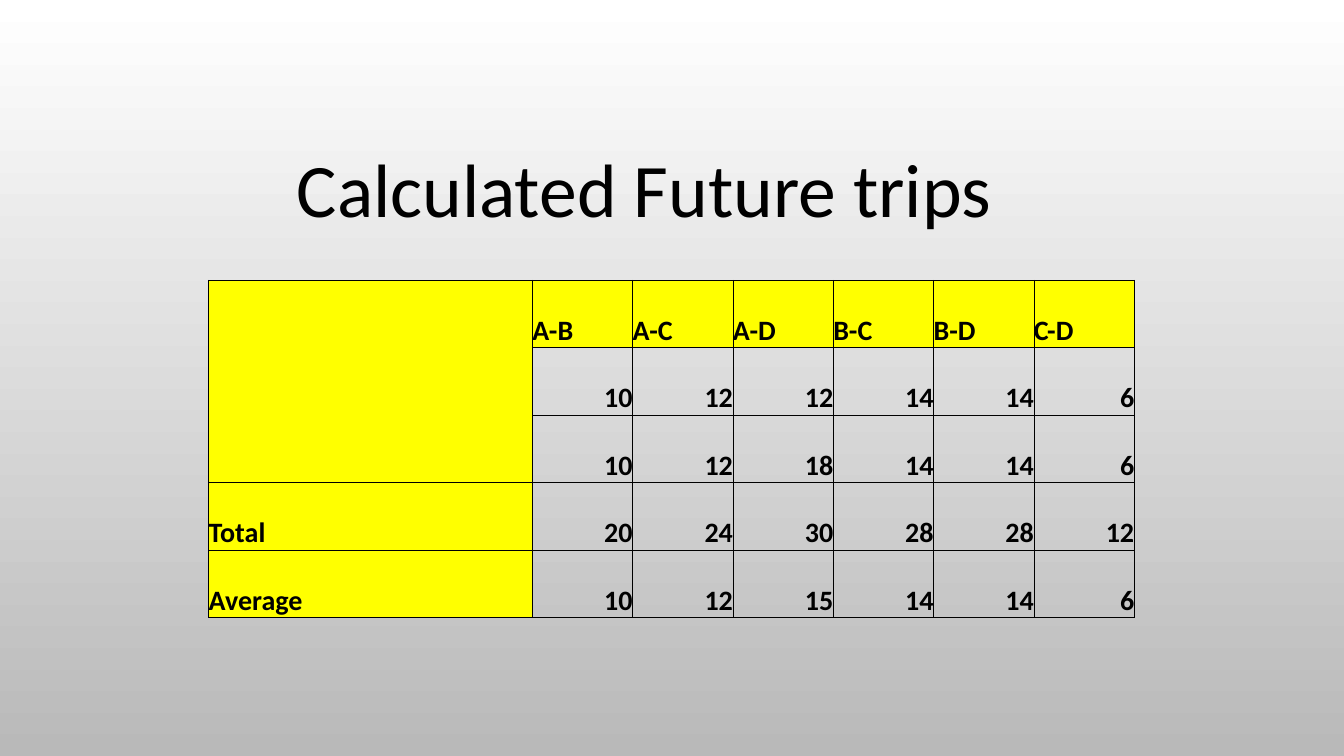
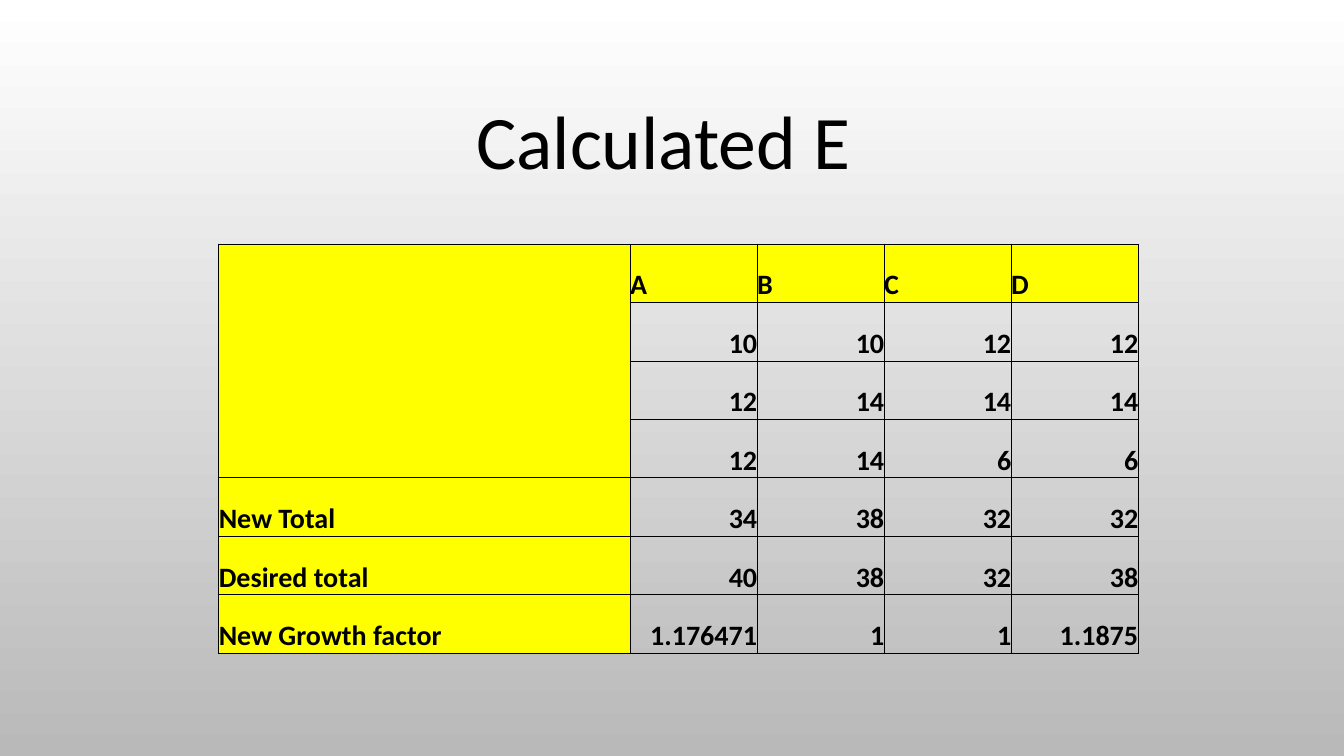
from dataclasses import dataclass

from lxml.etree import SubElement
from pptx import Presentation
from pptx.dml.color import RGBColor
from pptx.enum.text import MSO_ANCHOR as Anchor, MSO_AUTO_SIZE as AutoSize, PP_ALIGN as Align
from pptx.oxml.ns import qn
from pptx.presentation import Presentation as Deck
from pptx.slide import SlideMaster
from pptx.table import _Cell as Cell
from pptx.text.text import _Paragraph as Paragraph
from pptx.util import Inches, Pt

COLOURS = {
    "ink": "000000",
    "label": "FFFF00",
    "backdrop_top": "FFFFFF",
    "backdrop_bottom": "B9B9B9",
}
TITLE_FONT = {"name": "Calibri", "size": Pt(54), "bold": False}
CELL_FONT = {"name": "Calibri", "size": Pt(20), "bold": True}
TITLE_FRAME = {
    "word_wrap": False,
    "auto_size": AutoSize.SHAPE_TO_FIT_TEXT,
    "vertical_anchor": Anchor.TOP,
}
CELL_FRAME = {
    "margin_left": 0,
    "margin_right": 0,
    "margin_top": 0,
    "margin_bottom": 0,
    "vertical_anchor": Anchor.BOTTOM,
}
PLAIN_TABLE = {"first_row": False, "horz_banding": False}
TITLE_HEIGHT = 1.01
BORDER_WIDTH = Pt(0.5)


@dataclass(frozen=True)
class TripSlide:
    title: str
    title_left: float
    title_top: float
    title_width: float
    table_left: float
    table_top: float
    label_width: float
    value_width: float
    row_height: float
    rows: tuple[tuple[str, ...], ...]


TRIP_SLIDES = (
    TripSlide(
        "Calculated Future trips", 2.48, 1.36, 7.82,
        2.07, 2.78, 3.21, 0.995, 0.67,
        (
            ("", "A-B", "A-C", "A-D", "B-C", "B-D", "C-D"),
            ("", "10", "12", "12", "14", "14", "6"),
            ("", "10", "12", "18", "14", "14", "6"),
            ("Total", "20", "24", "30", "28", "28", "12"),
            ("Average", "10", "12", "15", "14", "14", "6"),
        ),
    ),
    TripSlide(
        "Calculated E", 4.23, 0.88, 4.7,
        2.17, 2.42, 4.08, 1.26, 0.58,
        (
            ("", "A", "B", "C", "D"),
            ("", "10", "10", "12", "12"),
            ("", "12", "14", "14", "14"),
            ("", "12", "14", "6", "6"),
            ("New Total", "34", "38", "32", "32"),
            ("Desired total", "40", "38", "32", "38"),
            ("New Growth factor", "1.176471", "1", "1", "1.1875"),
        ),
    ),
)


def colour(key: str) -> RGBColor:
    return RGBColor.from_string(COLOURS[key])


def apply(target: object, values: dict) -> None:
    for name, value in values.items():
        setattr(target, name, value)


def write(paragraph: Paragraph, text: str, font: dict, align: Align) -> None:
    paragraph.alignment = align
    run = paragraph.add_run()
    run.text = text
    apply(run.font, font)
    run.font.color.rgb = colour("ink")


def paint_backdrop(master: SlideMaster) -> None:
    fill = master.background.fill
    fill.gradient()
    fill.gradient_angle = 270
    for stop, key in zip(fill.gradient_stops, ("backdrop_top", "backdrop_bottom")):
        stop.color.rgb = colour(key)


def draw_borders(cell: Cell, hidden: set[str]) -> None:
    properties = cell._tc.get_or_add_tcPr()
    for side in "LRTB":
        line = SubElement(properties, qn(f"a:ln{side}"), w=str(BORDER_WIDTH))
        if side in hidden:
            SubElement(line, qn("a:noFill"))
        else:
            solid = SubElement(line, qn("a:solidFill"))
            SubElement(solid, qn("a:srgbClr"), val=COLOURS["ink"])


def draw_table(slide, content: TripSlide) -> None:
    rows = content.rows
    widths = [content.label_width] + [content.value_width] * (len(rows[0]) - 1)
    table = slide.shapes.add_table(
        len(rows), len(widths),
        Inches(content.table_left), Inches(content.table_top),
        Inches(sum(widths)), Inches(content.row_height * len(rows)),
    ).table
    apply(table, PLAIN_TABLE)
    for column, width in zip(table.columns, widths):
        column.width = Inches(width)
    last_blank = sum(not row[0] for row in rows) - 1
    for row_index, row in enumerate(rows):
        table.rows[row_index].height = Inches(content.row_height)
        for column_index, text in enumerate(row):
            cell = table.cell(row_index, column_index)
            is_label = row_index == 0 or column_index == 0
            hidden = set()
            if not text:
                hidden |= {"T"} if row_index > 0 else set()
                hidden |= {"B"} if row_index < last_blank else set()
            draw_borders(cell, hidden)
            apply(cell, CELL_FRAME)
            if is_label:
                cell.fill.solid()
                cell.fill.fore_color.rgb = colour("label")
            else:
                cell.fill.background()
            if text:
                align = Align.LEFT if is_label else Align.RIGHT
                write(cell.text_frame.paragraphs[0], text, CELL_FONT, align)


def add_trip_slide(deck: Deck, content: TripSlide) -> None:
    slide = deck.slides.add_slide(deck.slide_layouts[5])
    draw_table(slide, content)
    title = slide.shapes.title
    apply(title, {
        "left": Inches(content.title_left),
        "top": Inches(content.title_top),
        "width": Inches(content.title_width),
        "height": Inches(TITLE_HEIGHT),
    })
    apply(title.text_frame, TITLE_FRAME)
    write(title.text_frame.paragraphs[0], content.title, TITLE_FONT, Align.CENTER)


def main() -> None:
    deck = Presentation()
    apply(deck, {"slide_width": Inches(13.33), "slide_height": Inches(7.5)})
    paint_backdrop(deck.slide_master)
    for content in TRIP_SLIDES:
        add_trip_slide(deck, content)
    deck.save("out.pptx")


if __name__ == "__main__":
    main()
